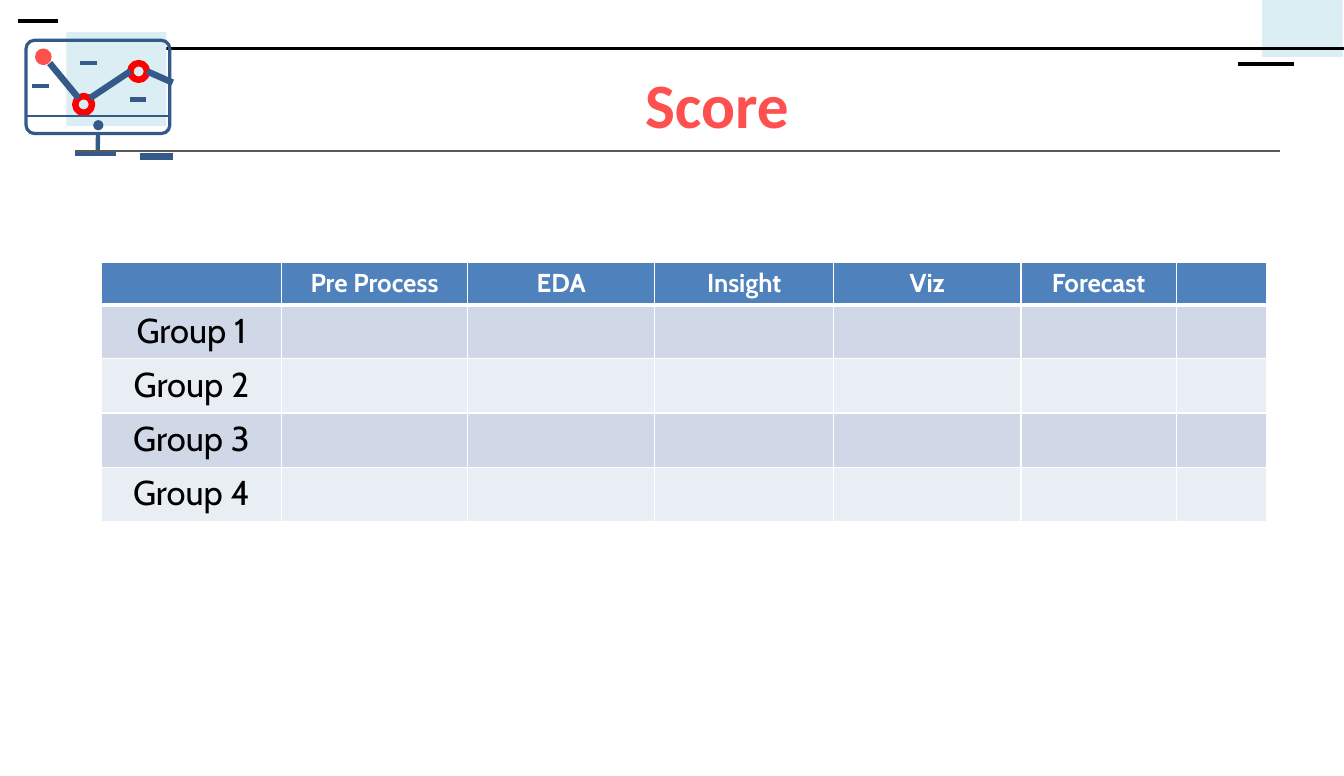
from typing import NamedTuple

import pptx
import pptx.dml.color
import pptx.enum.shapes
import pptx.enum.text
import pptx.oxml
import pptx.oxml.ns
import pptx.oxml.xmlchemy
import pptx.util

Cm = pptx.util.Cm
Pt = pptx.util.Pt
SHAPE = pptx.enum.shapes.MSO_SHAPE
MIDDLE = pptx.enum.text.MSO_ANCHOR.MIDDLE

COLORS = {
    "white": "FFFFFF", "black": "000000", "pale": "DBEEF4", "navy": "335A89",
    "coral": "FF5050", "red": "FF0000", "gray": "595959",
    "header": "4F81BD", "odd": "D0D8E8", "even": "E9EDF4",
}
HEADINGS = ["", "Pre Process", "EDA", "Insight", "Viz", "Forecast", ""]
COLUMN_WIDTHS = [4.42, 4.57, 4.6, 4.39, 4.6, 3.81, 2.21]
GROUP_COUNT = 4
HEADER_HEIGHT = 1.03
GROUP_HEIGHT = 1.33
BOTTOM_SIDE = 2


class Stroke(NamedTuple):
    x1: float
    y1: float
    x2: float
    y2: float
    color: str
    weight: float


class Mark(NamedTuple):
    kind: SHAPE
    left: float
    top: float
    width: float
    height: float
    fill: str | None = None
    line: str | None = None
    weight: float = 0


def dash(left: float, top: float) -> Stroke:
    return Stroke(left, top, left + 0.41, top, "navy", 3)


def dot(left: float, top: float, size: float, fill: str) -> Mark:
    return Mark(SHAPE.OVAL, left, top, size, size, fill=fill)


def ring(left: float, top: float) -> Mark:
    return Mark(SHAPE.OVAL, left, top, 0.41, 0.41, line="red", weight=4.5)


PAGE_DECOR = [
    Mark(SHAPE.RECTANGLE, 30.99, 0, 1.98, 1.4, fill="pale"),
    Stroke(3.61, 1.19, 33, 1.19, "black", 2.25),
    Stroke(0.43, 0.51, 1.42, 0.51, "black", 3),
    Stroke(30.4, 1.57, 31.78, 1.57, "black", 2.25),
    Stroke(30.71, 1.19, 31.78, 1.19, "black", 2.25),
]
CHART_ICON = [
    Mark(SHAPE.RECTANGLE, 1.63, 0.79, 2.46, 2.31, fill="pale"),
    Stroke(3.43, 3.84, 4.24, 3.84, "navy", 4.5),
    dot(0.86, 1.19, 0.41, "coral"),
    ring(1.85, 2.36),
    ring(3.2, 1.55),
    Stroke(1.22, 1.55, 1.93, 2.41, "navy", 4.5),
    Stroke(2.21, 2.41, 3.2, 1.75, "navy", 4.5),
    Stroke(3.61, 1.75, 4.24, 2.03, "navy", 4.5),
    dash(1.96, 1.55),
    dash(3.18, 2.44),
    dash(0.79, 2.11),
]
MONITOR = Mark(SHAPE.ROUNDED_RECTANGLE, 0.64, 0.99, 3.53, 2.29, line="navy", weight=2.25)
STAND = Stroke(2.4, 3.78, 2.4, 3.28, "navy", 3)
MONITOR_DETAILS = [
    Stroke(0.64, 2.84, 4.17, 2.84, "navy", 1.5),
    Stroke(1.85, 3.78, 2.84, 3.78, "navy", 3),
    dot(2.29, 2.95, 0.25, "navy"),
]
TITLE_RULE = Stroke(1.83, 3.71, 31.42, 3.71, "gray", 1)


def rgb(name: str) -> pptx.dml.color.RGBColor:
    return pptx.dml.color.RGBColor.from_string(COLORS[name])


def draw_stroke(page, stroke: Stroke):
    connector = page.shapes.add_connector(
        pptx.enum.shapes.MSO_CONNECTOR.STRAIGHT,
        Cm(stroke.x1), Cm(stroke.y1), Cm(stroke.x2), Cm(stroke.y2))
    connector.line.color.rgb = rgb(stroke.color)
    connector.line.width = Pt(stroke.weight)
    properties = connector._element.spPr
    properties.append(properties.makeelement(pptx.oxml.ns.qn("a:effectLst"), {}))
    return connector


def draw_mark(page, mark: Mark):
    shape = page.shapes.add_shape(
        mark.kind, Cm(mark.left), Cm(mark.top), Cm(mark.width), Cm(mark.height))
    shape.shadow.inherit = False
    if mark.fill:
        shape.fill.solid()
        shape.fill.fore_color.rgb = rgb(mark.fill)
    else:
        shape.fill.background()
    if mark.line:
        shape.line.color.rgb = rgb(mark.line)
        shape.line.width = Pt(mark.weight)
    else:
        shape.line.fill.background()
    return shape


def draw_all(page, items: list[Stroke | Mark]) -> None:
    for item in items:
        if isinstance(item, Stroke):
            draw_stroke(page, item)
        else:
            draw_mark(page, item)


def write_text(frame, text: str, *, size: float, color: str,
               font: str = "Cabin", bold: bool = False) -> None:
    para = frame.paragraphs[0]
    para.alignment = pptx.enum.text.PP_ALIGN.CENTER
    span = para.add_run()
    span.text = text
    span.font.name = font
    span.font.size = Pt(size)
    span.font.bold = bold
    span.font.color.rgb = rgb(color)


def style_cell(cell, fill: str, bottom_weight: float) -> None:
    properties = cell._tc.get_or_add_tcPr()
    weights = {"lnL": 1, "lnR": 1, "lnT": 1, "lnB": bottom_weight}
    for side, weight in weights.items():
        properties.append(pptx.oxml.parse_xml(
            f'<a:{side} {pptx.oxml.ns.nsdecls("a")} w="{Pt(weight)}"><a:solidFill>'
            f'<a:srgbClr val="{COLORS["white"]}"/></a:solidFill></a:{side}>'))
    cell.fill.solid()
    cell.fill.fore_color.rgb = rgb(fill)


def draw_score_table(page) -> None:
    height = HEADER_HEIGHT + GROUP_COUNT * GROUP_HEIGHT
    table = page.shapes.add_table(
        GROUP_COUNT + 1, len(HEADINGS), Cm(2.49), Cm(6.45),
        Cm(sum(COLUMN_WIDTHS)), Cm(height)).table
    for column, width in zip(table.columns, COLUMN_WIDTHS):
        column.width = Cm(width)
    for index, row in enumerate(table.rows):
        row.height = Cm(GROUP_HEIGHT if index else HEADER_HEIGHT)
        fill = ("even", "odd")[index % 2] if index else "header"
        for cell in row.cells:
            style_cell(cell, fill, 1 if index else 3)
        if index:
            write_text(row.cells[0].text_frame, f"Group {index}", size=24, color="black")
    for cell, heading in zip(table.rows[0].cells, HEADINGS):
        if heading:
            write_text(cell.text_frame, heading, size=18, color="white", bold=True)


def main() -> None:
    deck = pptx.Presentation()
    deck.slide_width = Cm(33)
    deck.slide_height = Cm(19.05)
    page = deck.slides.add_slide(deck.slide_layouts[6])

    draw_all(page, PAGE_DECOR + CHART_ICON)
    monitor = draw_mark(page, MONITOR)
    monitor.adjustments[0] = 0.09
    draw_stroke(page, STAND).end_connect(monitor, BOTTOM_SIDE)
    draw_all(page, MONITOR_DETAILS + [TITLE_RULE])

    title_box = page.shapes.add_textbox(Cm(5.11), Cm(1.17), Cm(24.99), Cm(2.74))
    title_box.text_frame.word_wrap = True
    title_box.text_frame.vertical_anchor = MIDDLE
    write_text(title_box.text_frame, "Score", size=44, color="coral",
               font="Calibri", bold=True)
    draw_score_table(page)
    deck.save("out.pptx")


if __name__ == "__main__":
    main()
